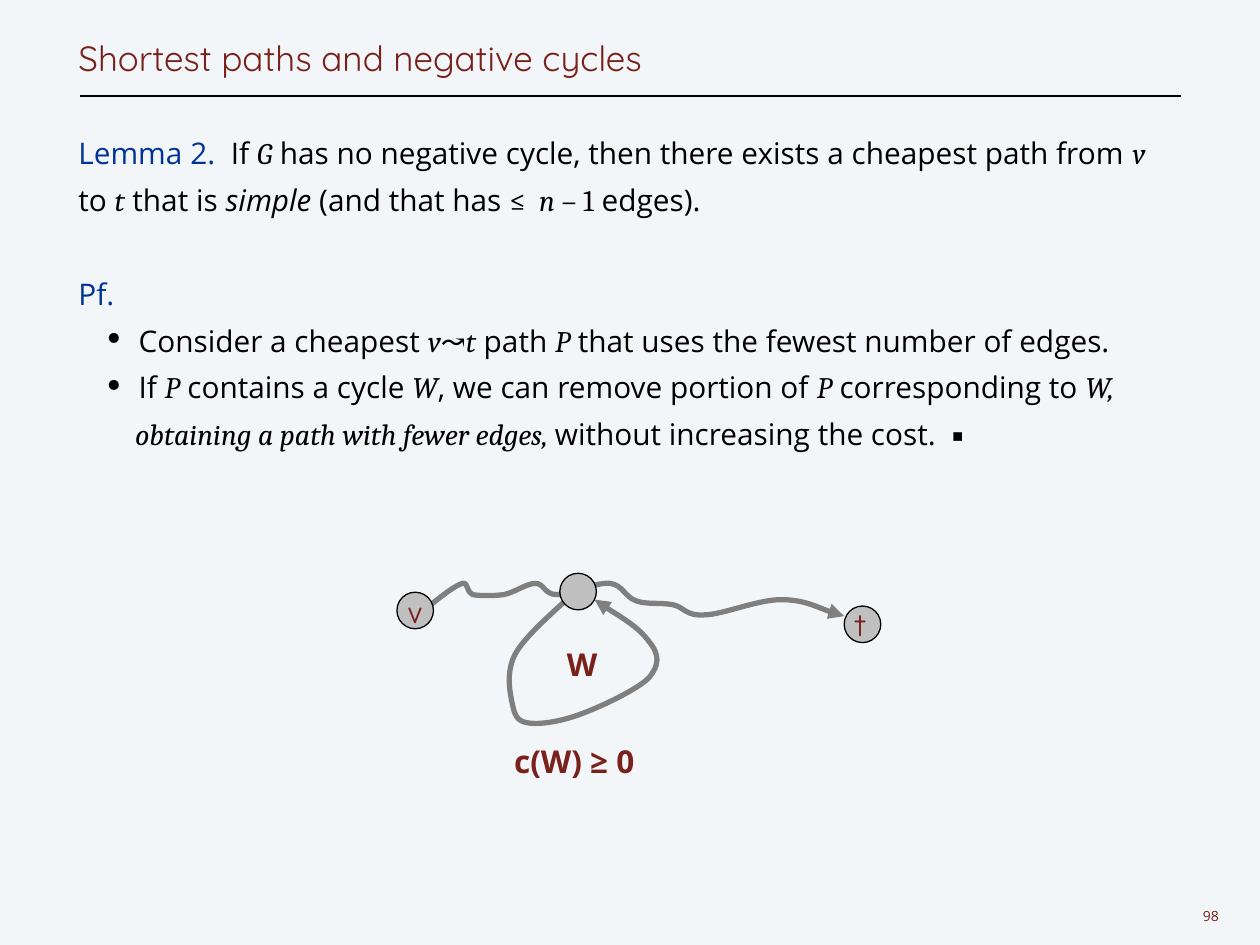
from lxml import etree
from pptx import Presentation
from pptx.dml.color import RGBColor
from pptx.enum.shapes import MSO_CONNECTOR, MSO_SHAPE
from pptx.enum.text import MSO_ANCHOR, MSO_AUTO_SIZE, PP_ALIGN
from pptx.oxml.ns import qn
from pptx.util import Pt

OVAL, STRAIGHT = MSO_SHAPE.OVAL, MSO_CONNECTOR.STRAIGHT
TOP, MIDDLE, BOTTOM = MSO_ANCHOR.TOP, MSO_ANCHOR.MIDDLE, MSO_ANCHOR.BOTTOM
LEFT, CENTER = PP_ALIGN.LEFT, PP_ALIGN.CENTER
NO_AUTOSIZE = MSO_AUTO_SIZE.NONE

PAPER = RGBColor(0xF3, 0xF6, 0xF9)
MAROON = RGBColor(0x79, 0x21, 0x1B)
BLUE = RGBColor(0x00, 0x33, 0x99)
BLACK = RGBColor(0, 0, 0)
GRAY = RGBColor(0x7F, 0x7F, 0x7F)
SILVER = RGBColor(0xC0, 0xC0, 0xC0)

SANS, SERIF, TITLE_FONT, NODE_FONT = "Open Sans", "Cambria", "Quicksand", "Comic Neue"
LINE_PITCH = 26.8
NODE_SIZE = 20.9

# Span styles: font, italic, colour
PLAIN = (SANS, False, BLACK)
HEAD = (SANS, False, BLUE)
EMPH = (SANS, True, BLACK)
MATH = (SERIF, False, BLACK)
VAR = (SERIF, True, BLACK)

TITLE = "Shortest paths and negative cycles"
# Paragraphs: bulleted, space before, spans
BODY = [
    (False, 0, [
        ("Lemma 2.  ", HEAD), ("If ", PLAIN), ("G", VAR),
        (" has no negative cycle, then there exists a cheapest path from ", PLAIN),
        ("v", VAR), (" to ", PLAIN), ("t", VAR), (" that is ", PLAIN),
        ("simple", EMPH), (" (and that has ", PLAIN), ("≤  ", MATH),
        ("n", VAR), (" – 1", MATH), (" edges).", PLAIN)]),
    (False, LINE_PITCH, [("Pf.", HEAD)]),
    (True, 0, [
        ("Consider a cheapest ", PLAIN), ("v", VAR), ("↝", MATH), ("t", VAR),
        (" path ", PLAIN), ("P", VAR),
        (" that uses the fewest number of edges.", PLAIN)]),
    (True, 0, [
        ("If ", PLAIN), ("P", VAR), (" contains a cycle ", PLAIN), ("W", VAR),
        (", we can remove portion of ", PLAIN), ("P", VAR),
        (" corresponding to ", PLAIN),
        ("W, obtaining a path with fewer edges, ", VAR),
        ("without increasing the cost.  ▪", PLAIN)]),
]

# Start point, then Bézier triples: two control points and an end point
WALK = [
    (246.2, 345.6),
    (253.4, 339.8), (259.9, 334.8), (264.2, 333.4),
    (267.8, 332.6), (266.4, 338.4), (270, 339.8),
    (274.3, 340.6), (282.2, 340.6), (288, 339.8),
    (294.5, 338.4), (301, 333.4), (306, 333.4),
    (311, 333.4), (311, 339.8), (318.2, 339.8),
    (325.4, 339.8), (340.6, 332.6), (348.5, 333.4),
    (355.7, 334.1), (357.1, 341.3), (363.6, 343.4),
    (369.4, 345.6), (377.3, 344.2), (384.5, 345.6),
    (391, 347), (391.7, 352.1), (402.5, 351.4),
    (412.6, 351.4), (432.7, 342.7), (446.4, 342.7),
    (459.4, 342.7), (475.2, 350.6), (482.4, 352.1),
]
CYCLE = [
    (327.6, 339.1),
    (321.8, 344.9), (300.2, 362.9), (294.5, 373.7),
    (288.7, 384.5), (291.6, 396.7), (293, 403.2),
    (294.5, 410.4), (296.6, 412.6), (303.1, 413.3),
    (310.3, 414), (322.6, 411.8), (333.4, 407.5),
    (344.9, 403.2), (364.3, 393.8), (370.8, 387.4),
    (376.6, 380.2), (377.3, 374.4), (370.8, 366.5),
    (364.3, 357.8), (347.8, 348.5), (339.8, 342.7),
]
NODES = [("v", 226.8, 338.4), ("t", 482.4, 346.3), ("", 319.9, 327.6)]
# Text, left, top, width, height, size, bold, wrap, alignment
LABELS = [
    ("W", 324, 368.7, 16.6, 21.6, 18, True, False, LEFT),
    ("c(W) ≥ 0", 293.8, 427.7, 83.5, 14.4, 18, True, True, LEFT),
    ("98", 684, 516.2, 15.8, 14.4, 8, False, False, CENTER),
]


def place(shape, left, top, width, height):
    shape.left, shape.top = Pt(left), Pt(top)
    shape.width, shape.height = Pt(width), Pt(height)


def prepare_frame(frame, anchor, right=0, wrap=True):
    frame.margin_left = frame.margin_top = frame.margin_bottom = 0
    frame.margin_right = Pt(right)
    frame.auto_size = NO_AUTOSIZE
    frame.vertical_anchor = anchor
    frame.word_wrap = wrap


def add_span(para, text, size, font, color, italic=False, bold=False):
    span = para.add_run()
    span.text = text
    span.font.size, span.font.name = Pt(size), font
    span.font.bold, span.font.italic = bold, italic
    span.font.color.rgb = color


def set_bullet(para, bulleted):
    props = para._p.get_or_add_pPr()
    para.level = int(bulleted)
    props.set("marL", str(Pt(32.4 if bulleted else 0)))
    props.set("indent", str(Pt(-25.2 if bulleted else 0)))
    if bulleted:
        etree.SubElement(props, qn("a:buSzPct"), val="160000")
        etree.SubElement(props, qn("a:buChar"), char="・")
    else:
        etree.SubElement(props, qn("a:buNone"))


def add_curved_arrow(page, points):
    start, *rest = [(Pt(x), Pt(y)) for x, y in points]
    builder = page.shapes.build_freeform(*start)
    builder.add_line_segments(rest, close=False)
    curve = builder.convert_to_shape()
    curve.shadow.inherit = False
    curve.fill.background()
    curve.line.color.rgb, curve.line.width = GRAY, Pt(3)
    etree.SubElement(curve.line._get_or_add_ln(), qn("a:tailEnd"), type="triangle")
    # Each three straight segments become one cubic Bézier segment
    segments = list(curve._element.iter(qn("a:lnTo")))
    for first in range(0, len(segments), 3):
        triple = segments[first:first + 3]
        bezier = etree.Element(qn("a:cubicBezTo"))
        triple[0].addprevious(bezier)
        for segment in triple:
            bezier.append(segment[0])
            segment.getparent().remove(segment)


def add_node(page, text, left, top):
    node = page.shapes.add_shape(OVAL, Pt(left), Pt(top), Pt(NODE_SIZE), Pt(NODE_SIZE))
    node.shadow.inherit = False
    node.fill.solid()
    node.fill.fore_color.rgb = SILVER
    node.line.color.rgb, node.line.width = BLACK, Pt(0.75)
    if text:
        prepare_frame(node.text_frame, MIDDLE, right=3.6)
        para = node.text_frame.paragraphs[0]
        para.alignment = LEFT
        para._p.get_or_add_pPr().set("marL", str(Pt(3.6)))
        add_span(para, text, 18, NODE_FONT, MAROON)


def main():
    deck = Presentation()
    deck.slide_width, deck.slide_height = Pt(720), Pt(540)
    page = deck.slides.add_slide(deck.slide_layouts[1])
    page.background.fill.solid()
    page.background.fill.fore_color.rgb = PAPER

    title, body = page.placeholders
    place(title, 44.8, 0, 630, 44.8)
    prepare_frame(title.text_frame, BOTTOM)
    para = title.text_frame.paragraphs[0]
    para.alignment, para.line_spacing = LEFT, Pt(LINE_PITCH)
    add_span(para, TITLE, 20, TITLE_FONT, MAROON)

    place(body, 44.8, 70.6, 630, 452.9)
    frame = body.text_frame
    prepare_frame(frame, TOP)
    for index, (bulleted, gap, spans) in enumerate(BODY):
        para = frame.add_paragraph() if index else frame.paragraphs[0]
        set_bullet(para, bulleted)
        para.line_spacing, para.space_before = Pt(LINE_PITCH), Pt(gap)
        for text, (font, italic, color) in spans:
            add_span(para, text, 17, font, color, italic)

    rule = page.shapes.add_connector(STRAIGHT, Pt(46), Pt(54.8), Pt(675), Pt(54.8))
    rule.line.color.rgb, rule.line.width = BLACK, Pt(1)
    etree.SubElement(rule._element.spPr, qn("a:effectLst"))

    for points in (WALK, CYCLE):
        add_curved_arrow(page, points)
    for text, left, top, width, height, size, bold, wrap, alignment in LABELS:
        box = page.shapes.add_textbox(Pt(left), Pt(top), Pt(width), Pt(height))
        prepare_frame(box.text_frame, MIDDLE, wrap=wrap)
        para = box.text_frame.paragraphs[0]
        para.alignment = alignment
        add_span(para, text, size, SANS, MAROON, bold=bold)
    for node in NODES:
        add_node(page, *node)

    deck.save("out.pptx")


if __name__ == "__main__":
    main()
